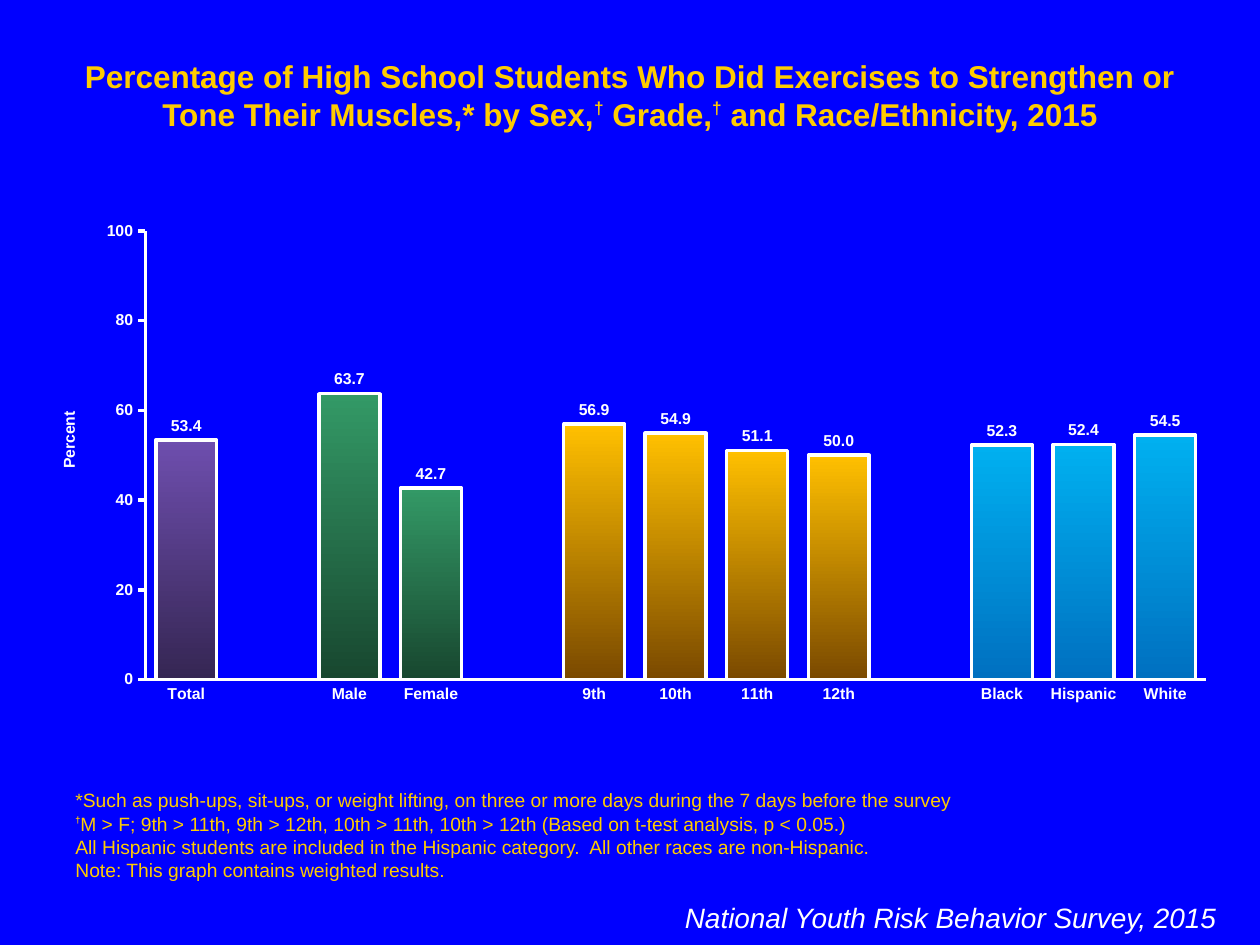
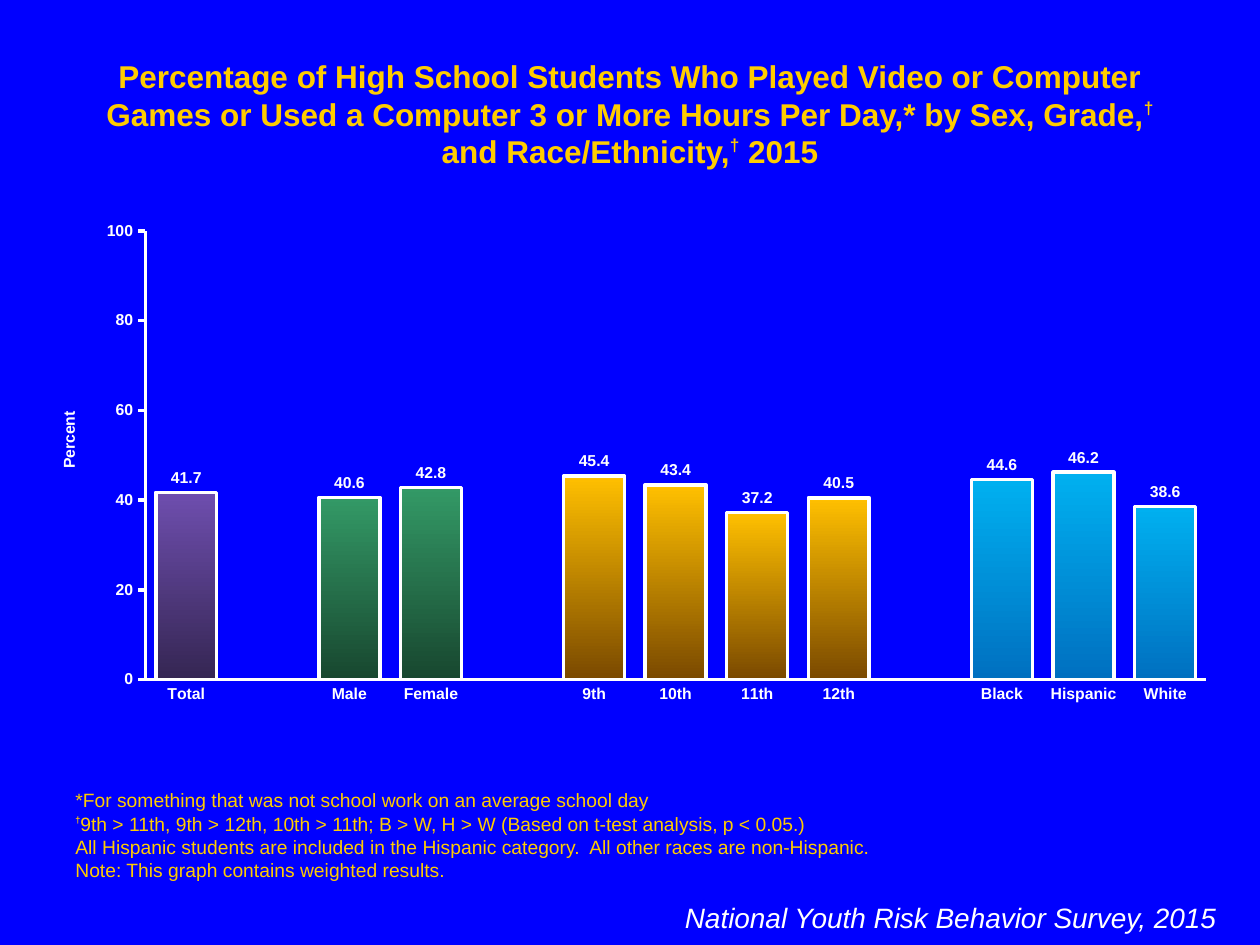
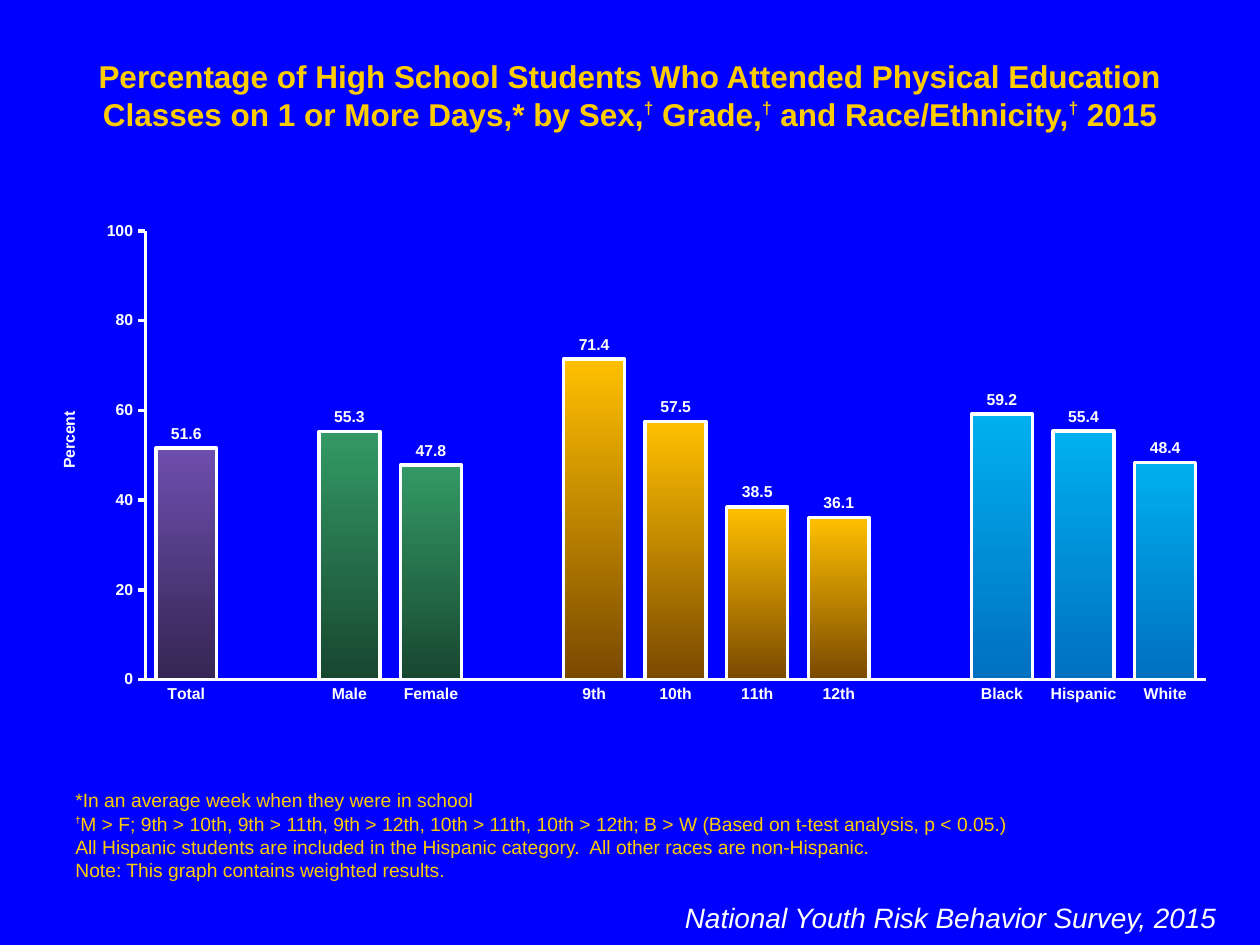
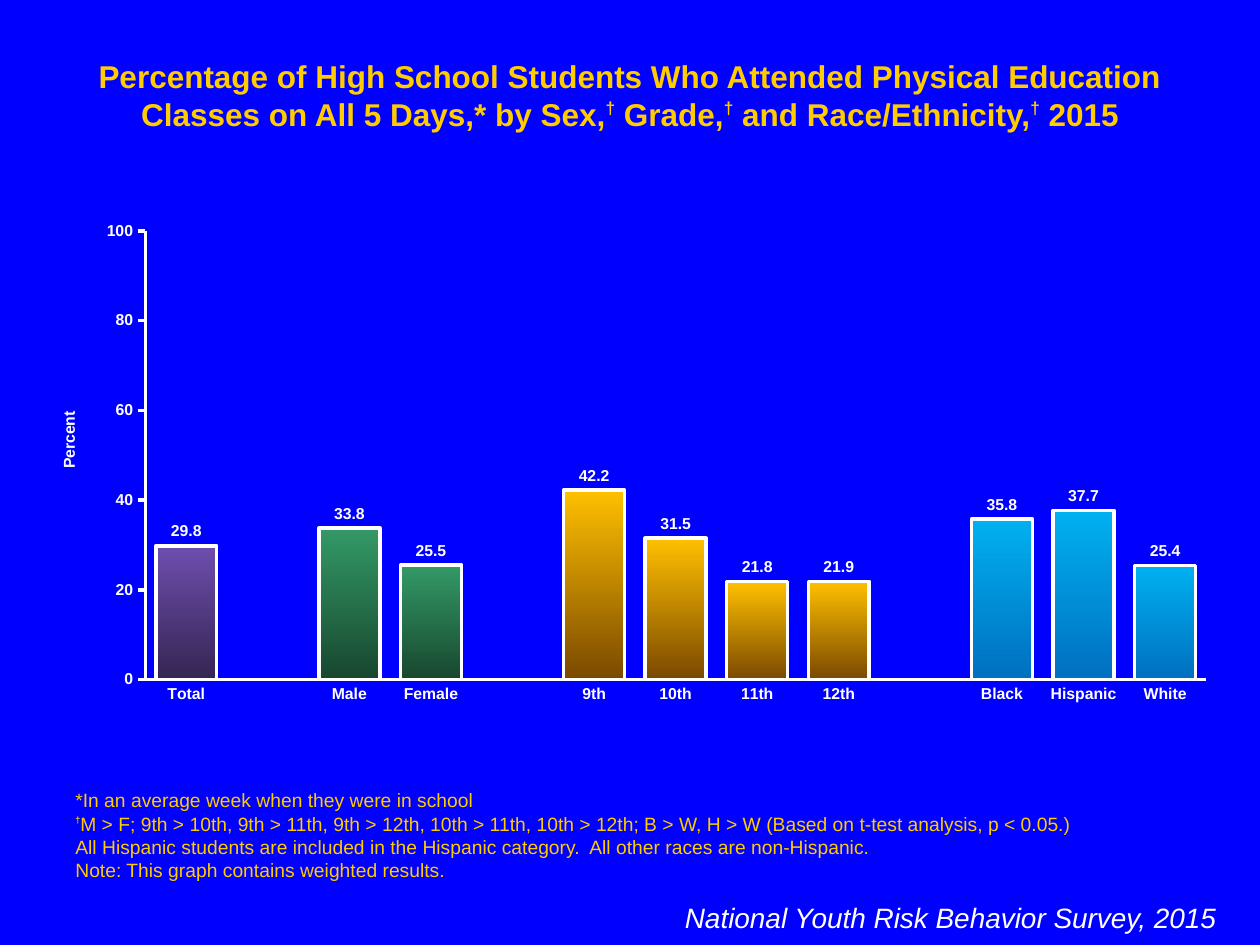
from lxml import etree
from pptx import Presentation
from pptx.chart.data import CategoryChartData as Data
from pptx.dml.color import RGBColor
from pptx.enum.chart import XL_CHART_TYPE as Kind
from pptx.enum.chart import XL_LABEL_POSITION as Spot
from pptx.enum.chart import XL_TICK_MARK as Tick
from pptx.enum.text import MSO_ANCHOR as Anchor
from pptx.enum.text import MSO_AUTO_SIZE as Fit
from pptx.enum.text import PP_ALIGN as Align
from pptx.oxml.ns import qn
from pptx.util import Cm, Pt

FONT = "Arial"
BLUE, GOLD, WHITE = "0000FF", "FFCC00", "FFFFFF"
MARK = "†"

# Bar groups: top colour, bottom colour, brightness of the bottom, labels
GROUPS = [
    ("6E4EAE", "4F387C", -0.33, ["Total"]),
    ("339966", "18472F", 0, ["Male", "Female"]),
    ("FFC000", "B66D00", -0.33, ["9th", "10th", "11th", "12th"]),
    ("00B0F0", "0070C0", 0, ["Black", "Hispanic", "White"]),
]
SOURCE = "National Youth Risk Behavior Survey, 2015"
COMMON = [
    "All Hispanic students are included in the Hispanic category.  All other races are non-Hispanic.",
    "Note: This graph contains weighted results.",
]
TEST = "(Based on t-test analysis, p < 0.05.)"
WEEK = "*In an average week when they were in school"
CLASSES = "Percentage of High School Students Who Attended Physical Education Classes on "
BY_ALL = " Days,* by Sex,† Grade,† and Race/Ethnicity,† 2015"
GRADES = "†M > F; 9th > 10th, 9th > 11th, 9th > 12th, 10th > 11th, 10th > 12th; B > W"

# Title, first two notes, values
SLIDES = [
    ("Percentage of High School Students Who Did Exercises to Strengthen or "
     "Tone Their Muscles,* by Sex,† Grade,† and Race/Ethnicity, 2015",
     "*Such as push-ups, sit-ups, or weight lifting, on three or more days "
     "during the 7 days before the survey",
     f"†M > F; 9th > 11th, 9th > 12th, 10th > 11th, 10th > 12th {TEST}",
     [53.4, 63.7, 42.7, 56.9, 54.9, 51.1, 50.0, 52.3, 52.4, 54.5]),
    ("Percentage of High School Students Who Played Video or Computer Games or "
     "Used a Computer 3 or More Hours Per Day,* by Sex, Grade,† and Race/Ethnicity,† 2015",
     "*For something that was not school work on an average school day",
     f"†9th > 11th, 9th > 12th, 10th > 11th; B > W, H > W {TEST}",
     [41.7, 40.6, 42.8, 45.4, 43.4, 37.2, 40.5, 44.6, 46.2, 38.6]),
    (f"{CLASSES}1 or More{BY_ALL}", WEEK, f"{GRADES} {TEST}",
     [51.6, 55.3, 47.8, 71.4, 57.5, 38.5, 36.1, 59.2, 55.4, 48.4]),
    (f"{CLASSES}All 5{BY_ALL}", WEEK, f"{GRADES}, H > W {TEST}",
     [29.8, 33.8, 25.5, 42.2, 31.5, 21.8, 21.9, 35.8, 37.7, 25.4]),
]


def color(code):
    return RGBColor.from_string(code)


def style(font, size, hue=WHITE, bold=False, italic=False):
    font.name, font.size = FONT, Pt(size)
    font.bold, font.italic = bold, italic
    font.color.rgb = color(hue)


def layout(parent, index, **parts):
    """Give a chart part a manual layout, in fractions of the chart."""
    for old in parent.findall(qn("c:layout")):
        parent.remove(old)
    outer = etree.Element(qn("c:layout"))
    inner = etree.SubElement(outer, qn("c:manualLayout"))
    for name, value in parts.items():
        etree.SubElement(inner, qn(f"c:{name}")).set("val", str(value))
    parent.insert(index, outer)


class Deck:
    def __init__(self):
        self.prs = Presentation()
        self.prs.slide_width, self.prs.slide_height = Cm(25.4), Cm(19.05)
        self.slide = None

    def page(self):
        self.slide = self.prs.slides.add_slide(self.prs.slide_layouts[6])
        fill = self.slide.background.fill
        fill.solid()
        fill.fore_color.rgb = color(BLUE)

    def text(self, lines, left, top, width, height, *, size, hue=GOLD,
             bold=False, italic=False, align=Align.LEFT, anchor=Anchor.TOP,
             mark=None):
        """Add a text box; mark is the size and baseline of each dagger."""
        box = self.slide.shapes.add_textbox(
            Cm(left), Cm(top), Cm(width), Cm(height))
        frame = box.text_frame
        frame.word_wrap = True
        frame.auto_size = Fit.SHAPE_TO_FIT_TEXT
        frame.vertical_anchor = anchor
        for i, line in enumerate(lines):
            para = frame.add_paragraph() if i else frame.paragraphs[0]
            para.alignment = align
            for j, part in enumerate(line.split(MARK)):
                if j:
                    run = para.add_run()
                    run.text = MARK
                    style(run.font, mark[0], hue, True, italic)
                    run._r.get_or_add_rPr().set("baseline", str(mark[1] * 1000))
                if part:
                    run = para.add_run()
                    run.text = part
                    style(run.font, size, hue, bold, italic)

    def chart(self, vals, left, top, width, height):
        cats, looks = [], []
        for *look, names in GROUPS:
            if cats:
                cats.append("")
                looks.append(None)
            cats += names
            looks += [look] * len(names)
        rest = iter(vals)
        data = Data()
        data.categories = cats
        data.add_series("Series 1", [next(rest) if cat else None for cat in cats])
        chart = self.slide.shapes.add_chart(
            Kind.COLUMN_CLUSTERED, Cm(left), Cm(top), Cm(width), Cm(height),
            data).chart
        style(chart.font, 18)
        chart.has_title = chart.has_legend = False
        self.bars(chart.plots[0], looks)
        self.axes(chart)
        area = chart._chartSpace.chart.plotArea
        layout(area, 0, layoutTarget="inner", xMode="edge", yMode="edge",
               x=0.095, y=0.036, w=0.886, h=0.895)

    def bars(self, plot, looks):
        plot.gap_width, plot.overlap = 34, 100
        plot.vary_by_categories = False
        plot.has_data_labels = True
        labels = plot.data_labels
        labels.show_value = True
        labels.number_format = "#,##0.0"
        labels.number_format_is_linked = False
        labels.position = Spot.OUTSIDE_END
        style(labels.font, 9, bold=True)
        for i, look in enumerate(looks):
            if look is None:
                continue
            start, end, dim = look
            form = plot.series[0].points[i].format
            form.fill.gradient()
            form.fill.gradient_angle = 270
            first, last = form.fill.gradient_stops
            first.color.rgb = color(start)
            last.color.rgb = color(end)
            last.color.brightness = dim
            form.line.color.rgb = color(WHITE)
            form.line.width = Pt(2)

    def axes(self, chart):
        cat, val = chart.category_axis, chart.value_axis
        for axis, tick in ((cat, Tick.NONE), (val, Tick.OUTSIDE)):
            axis.has_major_gridlines = False
            axis.major_tick_mark, axis.minor_tick_mark = tick, Tick.NONE
            axis.format.line.color.rgb = color(WHITE)
            axis.format.line.width = Pt(2)
            style(axis.tick_labels.font, 9, bold=True)
        val.minimum_scale, val.maximum_scale, val.major_unit = 0, 100, 20
        frame = val.axis_title.text_frame
        frame.text = "Percent"
        style(frame.paragraphs[0].runs[0].font, 9, bold=True)
        title = val.axis_title._element
        body = title.find(".//" + qn("a:bodyPr"))
        body.set("rot", "-5400000")
        body.set("vert", "horz")
        layout(title, 1, xMode="edge", yMode="edge", x=0.02, y=0.39)


def main():
    deck = Deck()
    for title, note, test, vals in SLIDES:
        deck.page()
        deck.text([title], 1.27, 1.02, 22.86, 1.02, size=18, bold=True,
                  align=Align.CENTER, mark=(17, 40))
        deck.text([note, test, *COMMON], 1.27, 17.15, 22.86, 0.74, size=11,
                  anchor=Anchor.BOTTOM, mark=(9, 50))
        deck.text([SOURCE], 10.8, 18.03, 13.97, 1, size=16, hue=WHITE,
                  italic=True, align=Align.RIGHT)
        deck.chart(vals, 0.64, 4.29, 24.13, 10.11)
    deck.prs.save("out.pptx")


if __name__ == "__main__":
    main()
